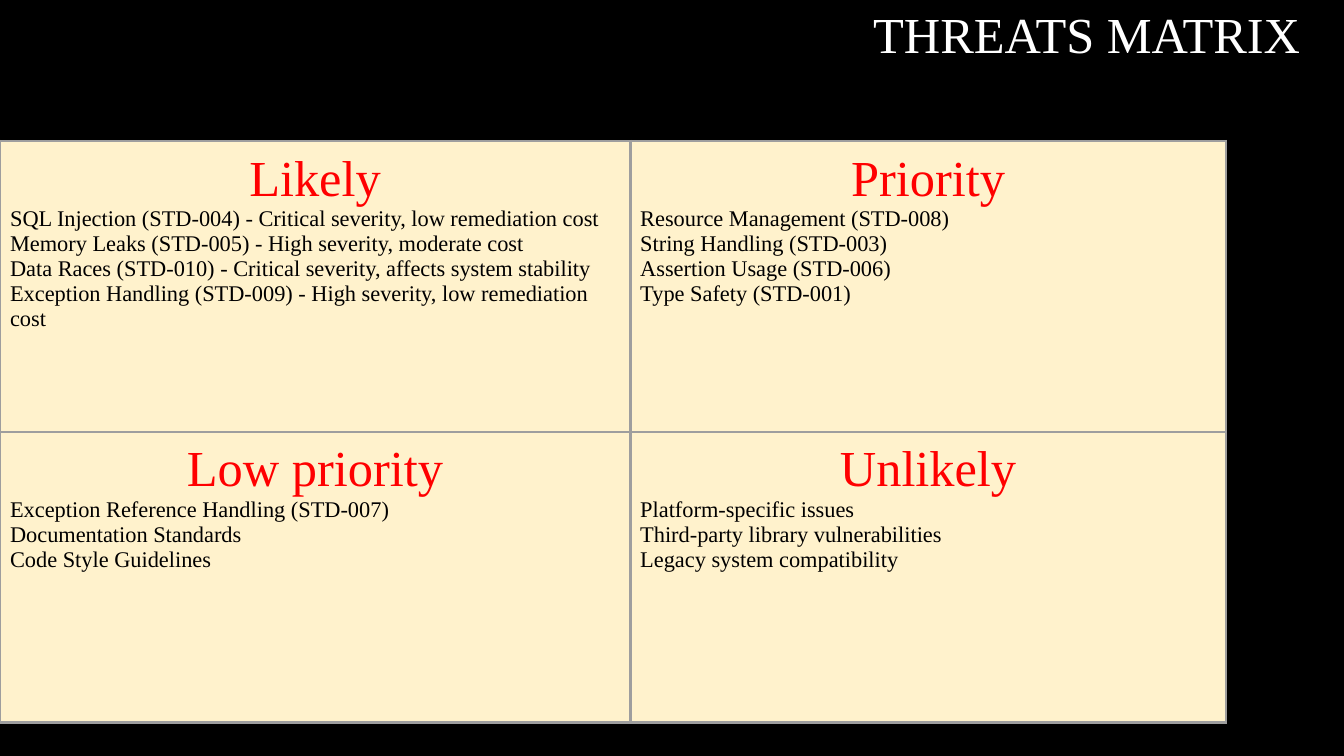
from lxml import etree
from pptx import Presentation
from pptx.dml.color import RGBColor
from pptx.enum.text import MSO_ANCHOR, PP_ALIGN
from pptx.oxml.ns import qn
from pptx.util import Inches, Pt

LEFT, CENTER = PP_ALIGN.LEFT, PP_ALIGN.CENTER
TOP, MIDDLE = MSO_ANCHOR.TOP, MSO_ANCHOR.MIDDLE

BLACK = RGBColor(0x00, 0x00, 0x00)
WHITE = RGBColor(0xFF, 0xFF, 0xFF)
RED = RGBColor(0xFF, 0x00, 0x00)
CREAM = RGBColor(0xFF, 0xF2, 0xCC)
GREY = RGBColor(0x9E, 0x9E, 0x9E)

FONT = "Times New Roman"
TITLE_ONLY = 5
SLIDE_WIDTH, SLIDE_HEIGHT = Inches(13.33), Inches(7.5)
COLUMN_WIDTHS = [Inches(6.25), Inches(5.91)]
ROW_HEIGHT = Inches(2.885)
MATRIX_TOP = Inches(1.4)
BORDER = Pt(2.25)

# Rows of quadrants: heading and its threats
QUADRANTS = [
    [
        ("Likely", [
            "SQL Injection (STD-004) - Critical severity, low remediation cost",
            "Memory Leaks (STD-005) - High severity, moderate cost",
            "Data Races (STD-010) - Critical severity, affects system stability",
            "Exception Handling (STD-009) - High severity, low remediation cost",
        ]),
        ("Priority", [
            "Resource Management (STD-008)",
            "String Handling (STD-003)",
            "Assertion Usage (STD-006)",
            "Type Safety (STD-001)",
        ]),
    ],
    [
        ("Low priority", [
            "Exception Reference Handling (STD-007)",
            "Documentation Standards",
            "Code Style Guidelines",
        ]),
        ("Unlikely", [
            "Platform-specific issues",
            "Third-party library vulnerabilities",
            "Legacy system compatibility",
        ]),
    ],
]


def write(paragraph, text, size=16, color=BLACK, align=LEFT, spacing=1.0):
    paragraph.alignment = align
    paragraph.line_spacing = spacing
    run = paragraph.add_run()
    run.text = text
    run.font.name = FONT
    run.font.size = Pt(size)
    run.font.color.rgb = color


def set_margins(box, horizontal, vertical):
    box.margin_left = box.margin_right = horizontal
    box.margin_top = box.margin_bottom = vertical


def add_borders(cell):
    properties = cell._tc.get_or_add_tcPr()
    # Border lines come before the fill in the cell properties
    for position, side in enumerate(("a:lnL", "a:lnR", "a:lnT", "a:lnB")):
        line = etree.Element(qn(side), w=str(BORDER))
        fill = etree.SubElement(line, qn("a:solidFill"))
        etree.SubElement(fill, qn("a:srgbClr"), val=str(GREY))
        properties.insert(position, line)


def fill_quadrant(cell, heading, threats):
    cell.fill.solid()
    cell.fill.fore_color.rgb = CREAM
    cell.vertical_anchor = TOP
    set_margins(cell, Inches(0.1), Inches(0.1))
    add_borders(cell)
    write(cell.text_frame.paragraphs[0], heading, size=36, color=RED, align=CENTER)
    for threat in threats:
        write(cell.text_frame.add_paragraph(), threat)


def place_title(slide, text):
    title = slide.shapes.title
    title.left, title.top = Inches(8.56), 0
    title.width, title.height = SLIDE_WIDTH - title.left, Inches(0.74)
    frame = title.text_frame
    frame.word_wrap = True
    frame.vertical_anchor = MIDDLE
    set_margins(frame, Inches(0.1), Inches(0.05))
    write(frame.paragraphs[0], text, size=36, color=WHITE, spacing=0.9)


def add_matrix(slide):
    rows, columns = len(QUADRANTS), len(COLUMN_WIDTHS)
    matrix = slide.shapes.add_table(
        rows, columns, 0, MATRIX_TOP, sum(COLUMN_WIDTHS), ROW_HEIGHT * rows
    ).table
    matrix.first_row = matrix.horz_banding = False
    for column, width in zip(matrix.columns, COLUMN_WIDTHS):
        column.width = width
    for row, quadrants in zip(matrix.rows, QUADRANTS):
        row.height = ROW_HEIGHT
        for cell, (heading, threats) in zip(row.cells, quadrants):
            fill_quadrant(cell, heading, threats)


def main():
    deck = Presentation()
    deck.slide_width, deck.slide_height = SLIDE_WIDTH, SLIDE_HEIGHT
    slide = deck.slides.add_slide(deck.slide_layouts[TITLE_ONLY])
    slide.background.fill.solid()
    slide.background.fill.fore_color.rgb = BLACK

    place_title(slide, "THREATS MATRIX")
    add_matrix(slide)
    deck.save("out.pptx")


if __name__ == "__main__":
    main()
